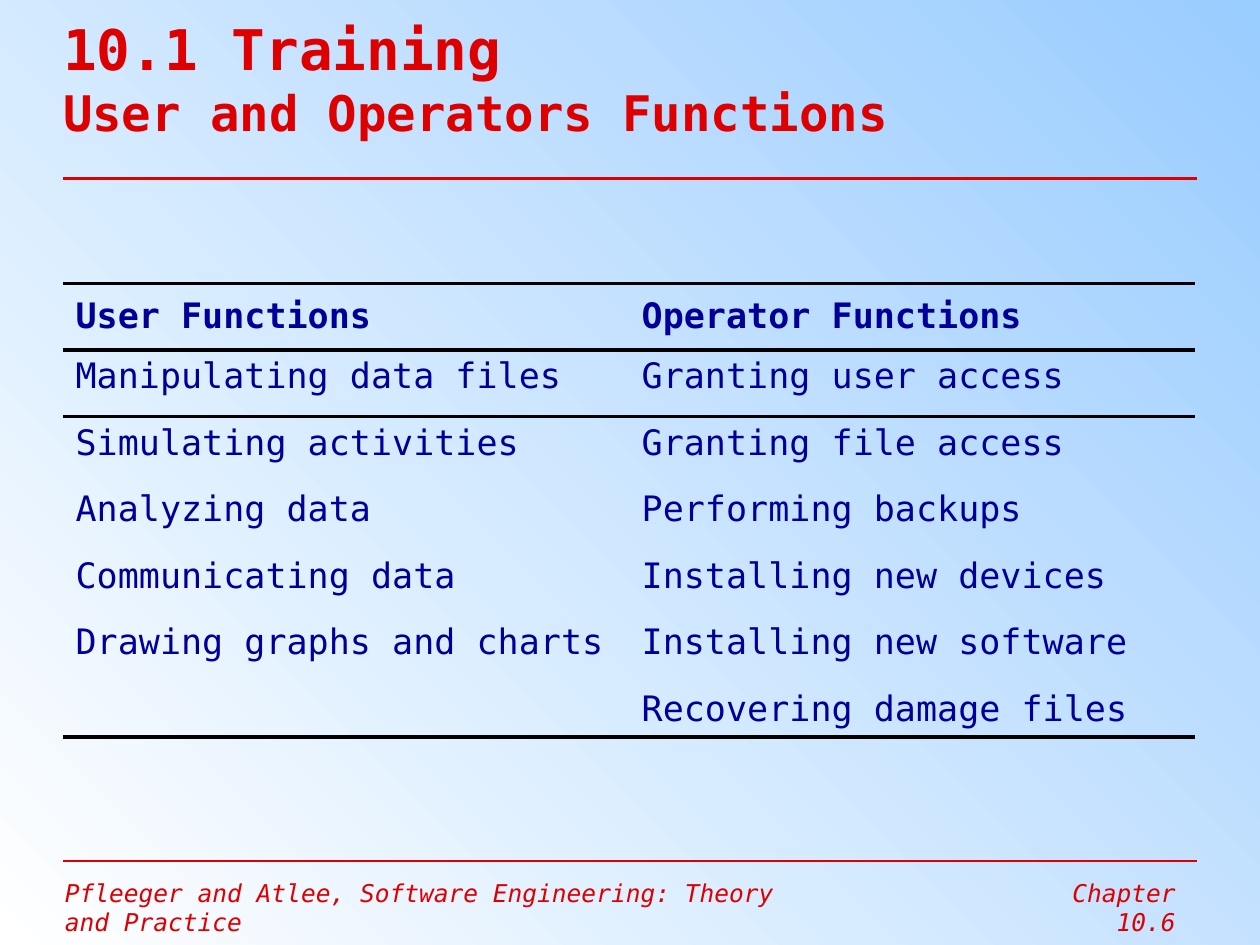
from lxml import etree
from pptx import Presentation
from pptx.dml.color import RGBColor
from pptx.enum.text import MSO_ANCHOR as Anchor, PP_ALIGN as Align
from pptx.oxml import parse_xml
from pptx.oxml.ns import nsdecls, qn
from pptx.util import Pt

RED = RGBColor(0xDE, 0x00, 0x00)
NAVY = RGBColor(0x00, 0x00, 0x99)
SKY = RGBColor(0x99, 0xCC, 0xFF)
WHITE = RGBColor(0xFF, 0xFF, 0xFF)
FONT = "DejaVu Sans Mono"
PLAIN_TABLE_STYLE = "{2D5ABB26-0587-4C30-8999-92F81FD0307C}"
MARGIN, WIDTH = 36, 648


def format_font(font, **values):
    color = values.pop("color")
    for name, value in {"name": FONT, **values}.items():
        setattr(font, name, value)
    font.color.rgb = color


def add_border(cell, side):
    """Rule one side of a cell in black; side is lnT or lnB, top first."""
    line = parse_xml(
        f'<a:{side} {nsdecls("a")} w="{Pt(2.25)}"><a:solidFill>'
        f'<a:srgbClr val="000000"/></a:solidFill></a:{side}>')
    cell._tc.get_or_add_tcPr().append(line)


prs = Presentation()
prs.slide_width, prs.slide_height = Pt(720), Pt(540)
slide = prs.slides.add_slide(prs.slide_layouts[5])

# Background
background = slide.background.fill
background.gradient()
background.gradient_angle = 225
for stop, color, position in zip(background.gradient_stops, (SKY, WHITE), (0, 1)):
    stop.color.rgb = color
    stop.position = position

# Title
title = slide.shapes.title
title.left, title.top, title.width, title.height = Pt(MARGIN), Pt(0), Pt(WIDTH), Pt(89)
heading = title.text_frame
for name, value in {"margin_left": 0, "margin_right": 0, "margin_top": 0,
                    "margin_bottom": 0, "vertical_anchor": Anchor.MIDDLE,
                    "word_wrap": True}.items():
    setattr(heading, name, value)
heading_line = heading.paragraphs[0]
heading_line.alignment = Align.LEFT
section = heading_line.add_run()
section.text = "10.1 Training"
format_font(section.font, size=Pt(32), bold=True, color=RED)
heading_line.add_line_break()
topic = heading_line.add_run()
topic.text = "User and Operators Functions"
format_font(topic.font, size=Pt(28), bold=True, color=RED)

# Rules under the title and above the footer
for y, weight in ((102, 1.5), (492, 0.75)):
    rule = slide.shapes.add_connector(1, Pt(MARGIN), Pt(y), Pt(MARGIN + WIDTH), Pt(y))
    rule.line.color.rgb = RED
    rule.line.width = Pt(weight)
    etree.SubElement(rule._element.spPr, qn("a:effectLst"))

# Footer
for text, left, width, alignment in (
        ("Pfleeger and Atlee, Software Engineering: Theory and Practice",
         30, 432, Align.LEFT),
        ("Chapter 10.6", 564, 115, Align.RIGHT)):
    footer = slide.shapes.add_textbox(Pt(left), Pt(498), Pt(width), Pt(42)).text_frame
    footer.word_wrap = True
    footer_line = footer.paragraphs[0]
    footer_line.text = text
    footer_line.alignment = alignment
    format_font(footer_line.font, size=Pt(14), italic=True, color=RED)

# Functions table
functions = [
    ("User Functions", "Operator Functions"),
    ("Manipulating data files", "Granting user access"),
    ("Simulating activities", "Granting file access"),
    ("Analyzing data", "Performing backups"),
    ("Communicating data", "Installing new devices"),
    ("Drawing graphs and charts", "Installing new software"),
    ("", "Recovering damage files"),
]
last = len(functions) - 1
ROW, LAST_ROW = 38, 30
table = slide.shapes.add_table(
    len(functions), 2, Pt(MARGIN), Pt(162), Pt(WIDTH - 1),
    Pt(ROW * last + LAST_ROW)).table
table.first_row = table.horz_banding = False
table._tbl.tblPr.find(qn("a:tableStyleId")).text = PLAIN_TABLE_STYLE

for r, entries in enumerate(functions):
    table.rows[r].height = Pt(LAST_ROW if r == last else ROW)
    for c, text in enumerate(entries):
        cell = table.cell(r, c)
        cell.vertical_anchor = Anchor.MIDDLE if r == 0 else Anchor.TOP
        if r <= 1:
            add_border(cell, "lnT")
        if r in (0, last):
            add_border(cell, "lnB")
        cell.fill.background()
        entry = cell.text_frame.paragraphs[0]
        entry.text = text
        format_font(entry.font, size=Pt(20), bold=r == 0, color=NAVY)

prs.save("out.pptx")
